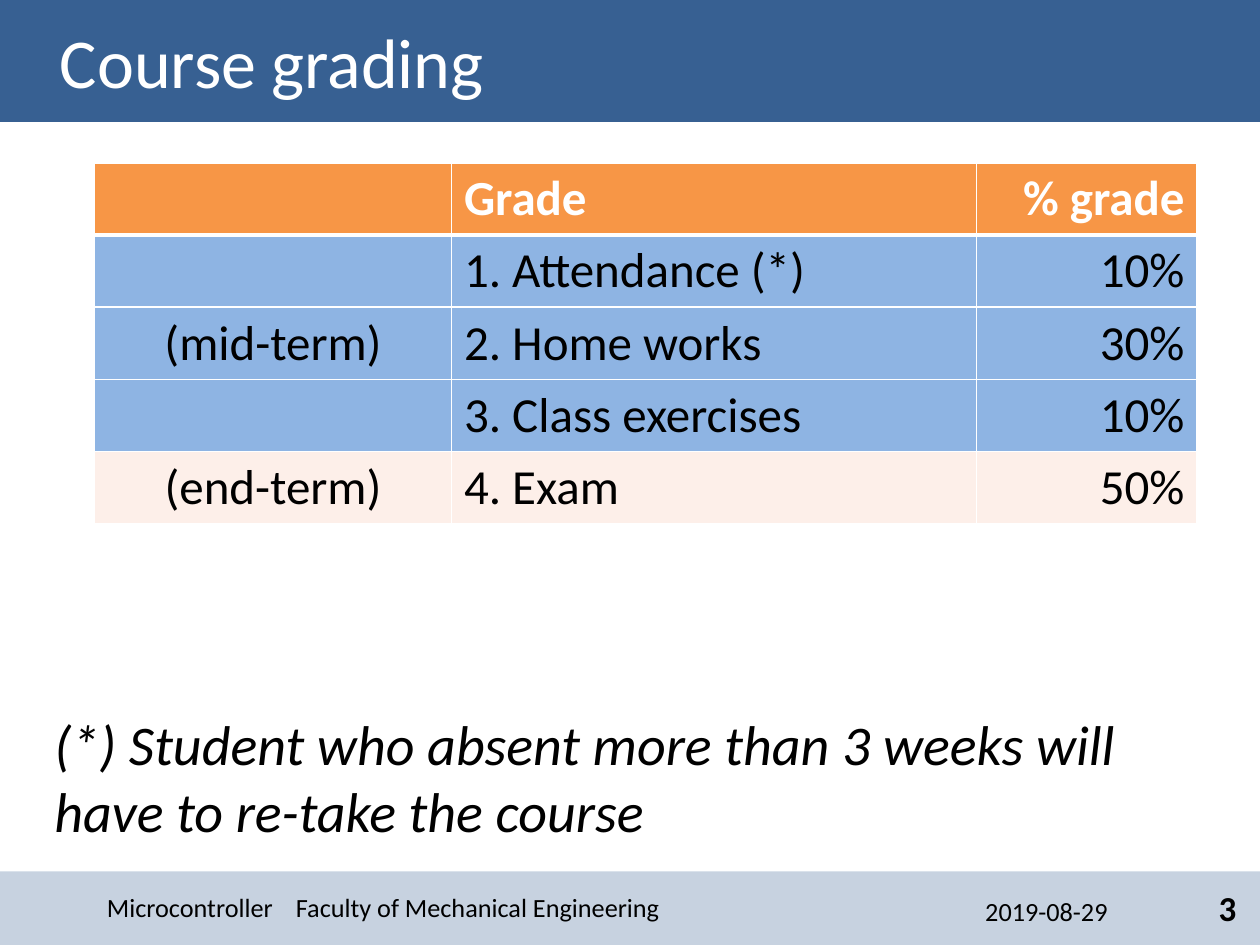
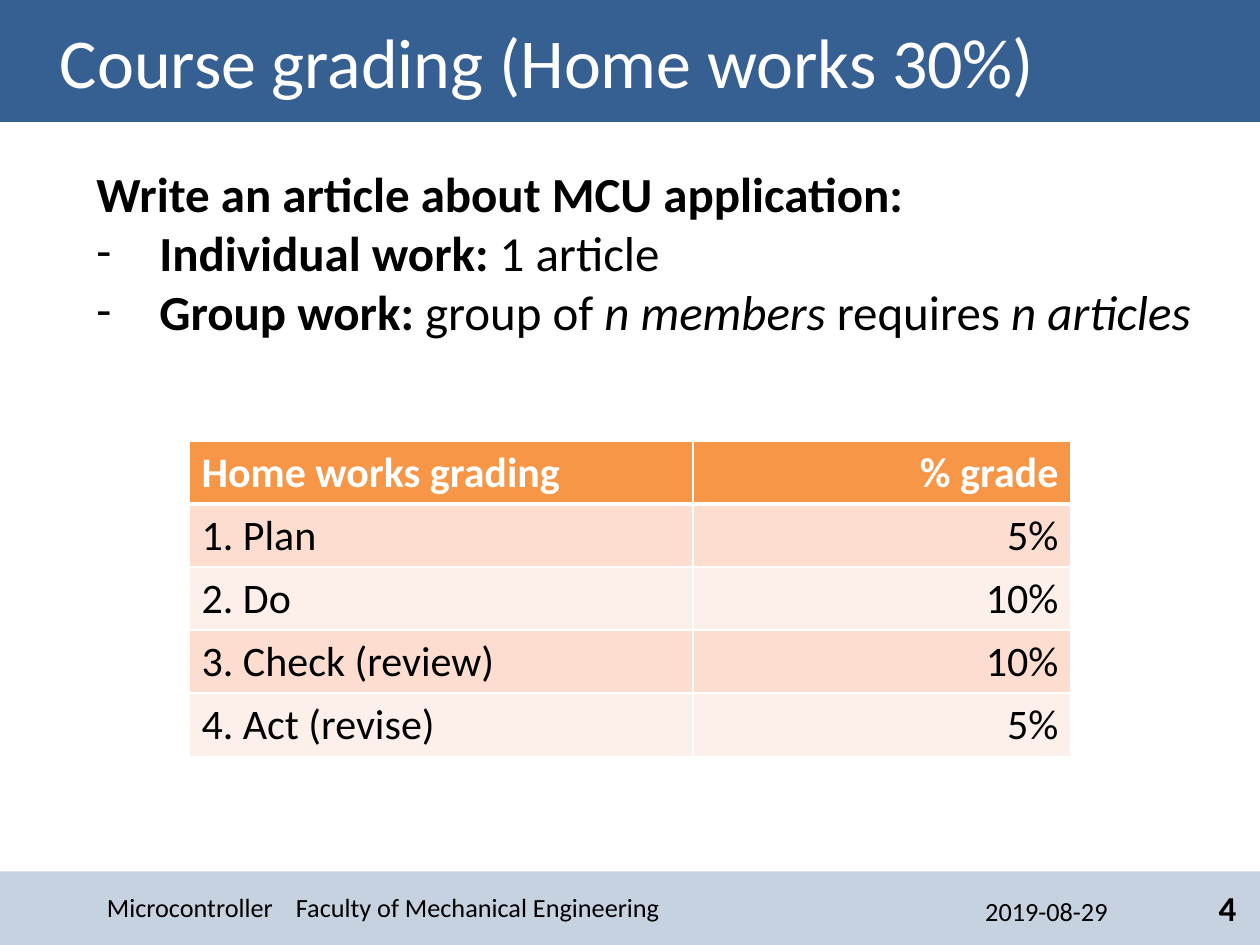
from lxml import etree
from pptx import Presentation
from pptx.dml import color
from pptx.enum import shapes, text
from pptx.oxml import ns
from pptx.util import Pt

FONT = "Calibri"
NAVY, ORANGE, BLUE = "376092", "F79646", "8EB4E3"
PEACH, PALE = "FCDDCF", "FDEFE9"
BLACK, WHITE = "000000", "FFFFFF"
LEFT, CENTER, RIGHT = text.PP_ALIGN.LEFT, text.PP_ALIGN.CENTER, text.PP_ALIGN.RIGHT
WIDTH, HEIGHT = 720, 540
BORDERS = ("lnL", "lnR", "lnT", "lnB")


def rgb(hex_color):
    return color.RGBColor.from_string(hex_color)


def add_run(paragraph, words, size, hex_color=BLACK, bold=False, italic=False):
    run = paragraph.add_run()
    run.text = words
    font = run.font
    font.name, font.size, font.bold, font.italic = FONT, Pt(size), bold, italic
    font.color.rgb = rgb(hex_color)


def add_element(parent, tag, **attributes):
    values = {name: str(value) for name, value in attributes.items()}
    return etree.SubElement(parent, ns.qn(tag), values)


def add_band(slide, top, height, opacity=100):
    band = slide.shapes.add_shape(
        shapes.MSO_SHAPE.RECTANGLE, Pt(0), Pt(top), Pt(WIDTH), Pt(height))
    band.shadow.inherit = False
    band.fill.solid()
    band.fill.fore_color.rgb = rgb(NAVY)
    band.line.fill.background()
    if opacity < 100:
        fill_color = band.fill._xPr.find(".//" + ns.qn("a:srgbClr"))
        add_element(fill_color, "a:alpha", val=opacity * 1000)
    return band


def add_text_box(slide, left, top, width, height, anchor=text.MSO_ANCHOR.TOP):
    frame = slide.shapes.add_textbox(Pt(left), Pt(top), Pt(width), Pt(height)).text_frame
    frame.word_wrap = True
    frame.vertical_anchor = anchor
    return frame


def add_title(slide, title):
    frame = add_band(slide, 0, 69.7).text_frame
    frame.word_wrap = True
    frame.margin_left = Pt(34.3)
    frame.vertical_anchor = text.MSO_ANCHOR.MIDDLE
    frame.paragraphs[0].alignment = LEFT
    add_run(frame.paragraphs[0], title, 40, WHITE)


def add_footer(slide, number):
    add_band(slide, 498, HEIGHT - 498, opacity=28)
    course = add_text_box(slide, 54, 504, 486, 29, text.MSO_ANCHOR.MIDDLE)
    add_run(course.paragraphs[0], "Microcontroller\tFaculty of Mechanical Engineering", 15)
    date = add_text_box(slide, 516, 504, 198, 29, text.MSO_ANCHOR.MIDDLE)
    date.margin_left = Pt(47)
    paragraph = date.paragraphs[0]
    tabs = add_element(paragraph._p.get_or_add_pPr(), "a:tabLst")
    add_element(tabs, "a:tab", pos=Pt(143.5), algn="r")
    add_run(paragraph, "2019-08-29\t", 15)
    add_run(paragraph, str(number), 20, bold=True)


def add_dash(paragraph):
    properties = paragraph._p.get_or_add_pPr()
    properties.set("marL", str(Pt(36)))
    properties.set("indent", str(-Pt(36)))
    add_element(properties, "a:buFont", typeface=FONT)
    add_element(properties, "a:buChar", char="-")


def set_borders(cell, row):
    properties = cell._tc.get_or_add_tcPr()
    for index, side in enumerate(BORDERS):
        heavy = (row, side) in ((0, "lnB"), (1, "lnT"))
        line = add_element(properties, "a:" + side, w=Pt(3 if heavy else 1))
        add_element(add_element(line, "a:solidFill"), "a:srgbClr", val=WHITE)
        properties.insert(index, line)


def add_grade_table(slide, left, top, widths, row_height, rows, fills, alignments, size):
    table = slide.shapes.add_table(
        len(rows), len(widths), Pt(left), Pt(top),
        Pt(sum(widths)), Pt(row_height * len(rows))).table
    table.first_row = table.horz_banding = False
    for column, width in zip(table.columns, widths):
        column.width = Pt(width)
    for row, (values, fill) in enumerate(zip(rows, fills)):
        table.rows[row].height = Pt(row_height)
        for column, value in enumerate(values):
            cell = table.cell(row, column)
            cell.fill.solid()
            cell.fill.fore_color.rgb = rgb(fill)
            set_borders(cell, row)
            if value:
                paragraph = cell.text_frame.paragraphs[0]
                paragraph.alignment = alignments[column]
                header = row == 0
                add_run(paragraph, value, size, WHITE if header else BLACK, bold=header)


def add_slide(presentation, title, number):
    slide = presentation.slides.add_slide(presentation.slide_layouts[6])
    add_footer(slide, number)
    add_title(slide, title)
    return slide


def build_course_grading(presentation):
    slide = add_slide(presentation, "Course grading", 3)
    rows = [
        ("", "Grade", "% grade"),
        ("", "1. Attendance (*)", "10%"),
        ("(mid-term)", "2. Home works", "30%"),
        ("", "3. Class exercises", "10%"),
        ("(end-term)", "4. Exam", "50%"),
    ]
    add_grade_table(slide, 54, 93, (204, 300, 126), 41.3, rows,
                    (ORANGE, BLUE, BLUE, BLUE, PALE), (CENTER, LEFT, RIGHT), 28)
    note = add_text_box(slide, 24, 402, 672, 85)
    add_run(note.paragraphs[0],
            "(*) Student who absent more than 3 weeks will have to re-take the course",
            32, italic=True)


def build_home_works(presentation):
    slide = add_slide(presentation, "Course grading (Home works 30%)", 4)
    task = add_text_box(slide, 48, 90, 647, 177)
    add_run(task.paragraphs[0], "Write an article about MCU application:", 28, bold=True)
    items = [
        [("Individual work: ", True, False), ("1 article", False, False)],
        [("Group work: ", True, False), ("group of ", False, False),
         ("n members", False, True), (" requires ", False, False),
         ("n articles", False, True)],
    ]
    for item in items:
        paragraph = task.add_paragraph()
        add_dash(paragraph)
        for words, bold, italic in item:
            add_run(paragraph, words, 28, bold=bold, italic=italic)
    rows = [
        ("Home works grading", "% grade"),
        ("1. Plan", "5%"),
        ("2. Do", "10%"),
        ("3. Check (review)", "10%"),
        ("4. Act (revise)", "5%"),
    ]
    add_grade_table(slide, 108, 252, (288, 216), 36, rows,
                    (ORANGE, PEACH, PALE, PEACH, PALE), (LEFT, RIGHT), 24)


def main():
    presentation = Presentation()
    presentation.slide_width, presentation.slide_height = Pt(WIDTH), Pt(HEIGHT)
    build_course_grading(presentation)
    build_home_works(presentation)
    presentation.save("out.pptx")


if __name__ == "__main__":
    main()
